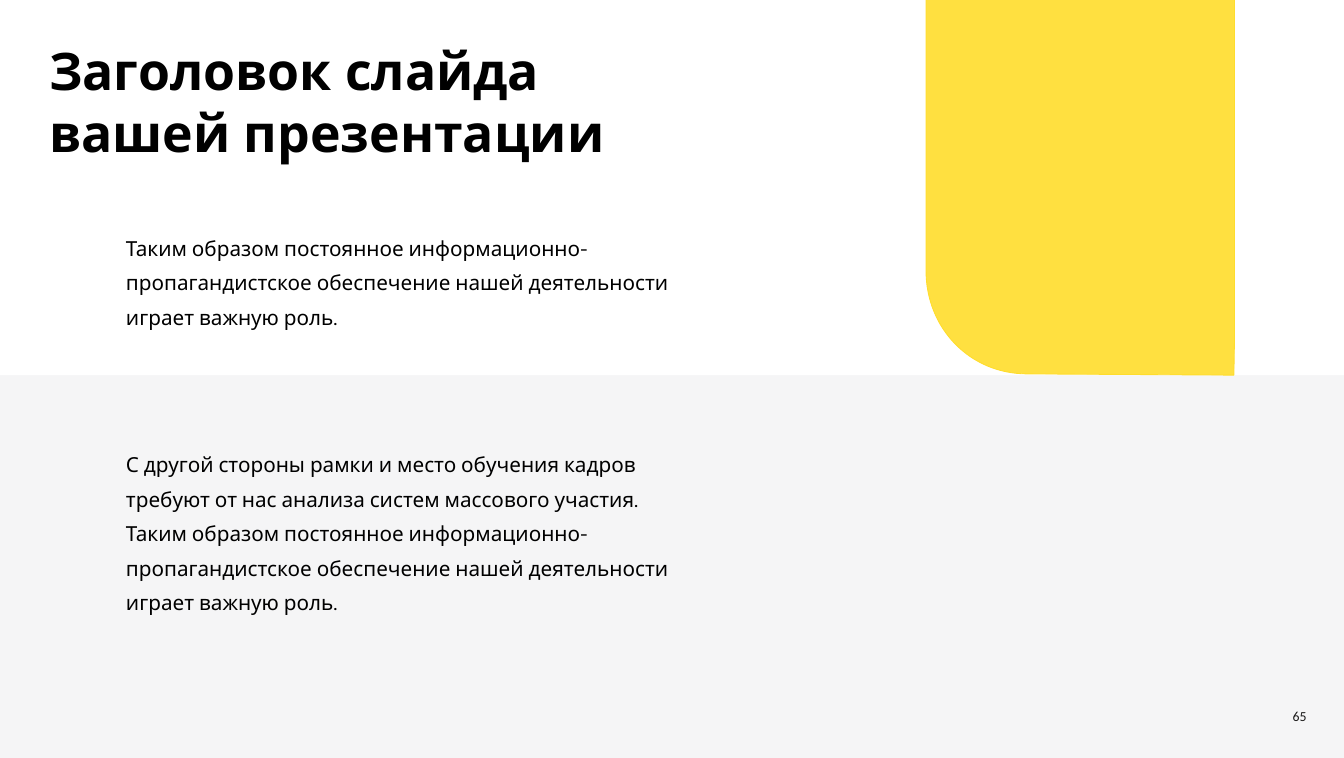
from dataclasses import dataclass
from typing import Any

from lxml import etree
from pptx import Presentation
from pptx.dml.color import RGBColor
from pptx.enum.shapes import MSO_SHAPE
from pptx.enum.text import MSO_ANCHOR, MSO_AUTO_SIZE, PP_ALIGN
from pptx.oxml.ns import qn
from pptx.util import Inches, Pt

RECTANGLE = MSO_SHAPE.RECTANGLE
TOP, MIDDLE = MSO_ANCHOR.TOP, MSO_ANCHOR.MIDDLE
LEFT, RIGHT = PP_ALIGN.LEFT, PP_ALIGN.RIGHT
NO_AUTOFIT = MSO_AUTO_SIZE.NONE

MILLIMETRES_PER_INCH = 25.4
WIDTH, HEIGHT = 550 / MILLIMETRES_PER_INCH, 310 / MILLIMETRES_PER_INCH
WHITE, GREY, YELLOW = "FFFFFF", "F5F5F6", "FFDD2C"
BLACK, PAGE_INK = "000000", "1A1919"
CORNER_CURVE = ((14.92, 4.36), (14.92, 5.28), (15.62, 6.02), (16.55, 6.02))
CORNER_STEPS = 32
BODY_LAYOUT = 3

Point = tuple[float, float]


@dataclass(frozen=True)
class TextBlock:
    text: str
    box: tuple[float, float, float, float]
    size: float
    line_spacing: Any = 1.0
    font: str = "Karla"
    color: str = BLACK
    bold: bool = False
    align: Any = LEFT
    anchor: Any = TOP
    inset: float = 0


TITLE = TextBlock("Заголовок слайда вашей презентации",
                  (0.79, 0.62, 9.24, 2.02), 60, bold=True)
BODIES = (
    TextBlock(
        "Таким образом постоянное информационно-пропагандистское обеспечение "
        "нашей деятельности играет важную роль.",
        (2.03, 3.64, 9.24, 1.34), 24, Pt(40)),
    TextBlock(
        "С другой стороны рамки и место обучения кадров требуют от нас анализа "
        "систем массового участия. Таким образом постоянное "
        "информационно-пропагандистское обеспечение нашей деятельности "
        "играет важную роль.",
        (2.03, 7.12, 9.24, 2.52), 24, Pt(40)),
)
PAGE_NUMBER = TextBlock("65", (19.98, 11.29, 1.17, 0.47), 16, font="Calibri",
                        color=PAGE_INK, align=RIGHT, anchor=MIDDLE, inset=0.1)


def set_color(target: Any, color: str) -> None:
    target.rgb = RGBColor.from_string(color)


def fill_solid(fill: Any, color: str) -> None:
    fill.solid()
    set_color(fill.fore_color, color)


def write_text(shape: Any, block: TextBlock) -> None:
    shape.left, shape.top, shape.width, shape.height = map(Inches, block.box)
    frame = shape.text_frame
    frame.text = block.text
    frame.word_wrap = True
    frame.auto_size = NO_AUTOFIT
    frame.vertical_anchor = block.anchor
    frame.margin_left = frame.margin_right = Inches(block.inset)
    frame.margin_top = frame.margin_bottom = Inches(block.inset / 2)
    paragraph = frame.paragraphs[0]
    paragraph.alignment = block.align
    paragraph.line_spacing = block.line_spacing
    paragraph.space_before = Pt(0)
    properties = paragraph._p.get_or_add_pPr()
    properties.set("marL", "0")
    properties.set("indent", "0")
    etree.SubElement(properties, qn("a:buNone"))
    font = paragraph.runs[0].font
    font.name = block.font
    font.size = Pt(block.size)
    font.bold = block.bold
    set_color(font.color, block.color)


def curve_point(controls: tuple[Point, ...], t: float) -> Point:
    while len(controls) > 1:
        controls = tuple(
            (x1 + (x2 - x1) * t, y1 + (y2 - y1) * t)
            for (x1, y1), (x2, y2) in zip(controls, controls[1:]))
    return controls[0]


def add_white_panel(slide: Any) -> None:
    panel = slide.shapes.add_shape(
        RECTANGLE, 0, 0, Inches(WIDTH), Inches(6.04))
    panel.shadow.inherit = False
    fill_solid(panel.fill, WHITE)
    panel.line.fill.background()


def add_yellow_panel(slide: Any) -> None:
    corner = [curve_point(CORNER_CURVE, step / CORNER_STEPS)
              for step in range(CORNER_STEPS + 1)]
    outline = [(14.92, -0.01), *corner, (19.88, 6.04), (19.89, 5.43),
               (19.89, -0.01)]
    points = [(Inches(x), Inches(y)) for x, y in outline]
    builder = slide.shapes.build_freeform(*points[0])
    builder.add_line_segments(points[1:], close=True)
    panel = builder.convert_to_shape()
    panel.shadow.inherit = False
    fill_solid(panel.fill, YELLOW)
    color = panel.element.spPr.find(qn("a:solidFill"))[0]
    etree.SubElement(color, qn("a:alpha"), val="90000")
    set_color(panel.line.color, YELLOW)
    panel.line.width = Pt(1)


def main() -> None:
    presentation = Presentation()
    presentation.slide_width = Inches(WIDTH)
    presentation.slide_height = Inches(HEIGHT)
    slide = presentation.slides.add_slide(
        presentation.slide_layouts[BODY_LAYOUT])
    fill_solid(slide.background.fill, GREY)
    placeholders = list(slide.placeholders)
    add_white_panel(slide)
    add_yellow_panel(slide)
    for placeholder, block in zip(placeholders, (TITLE, *BODIES)):
        write_text(placeholder, block)
        slide.shapes.element.append(placeholder.element)
    page_box = slide.shapes.add_textbox(*map(Inches, PAGE_NUMBER.box))
    write_text(page_box, PAGE_NUMBER)
    presentation.save("out.pptx")


if __name__ == "__main__":
    main()
